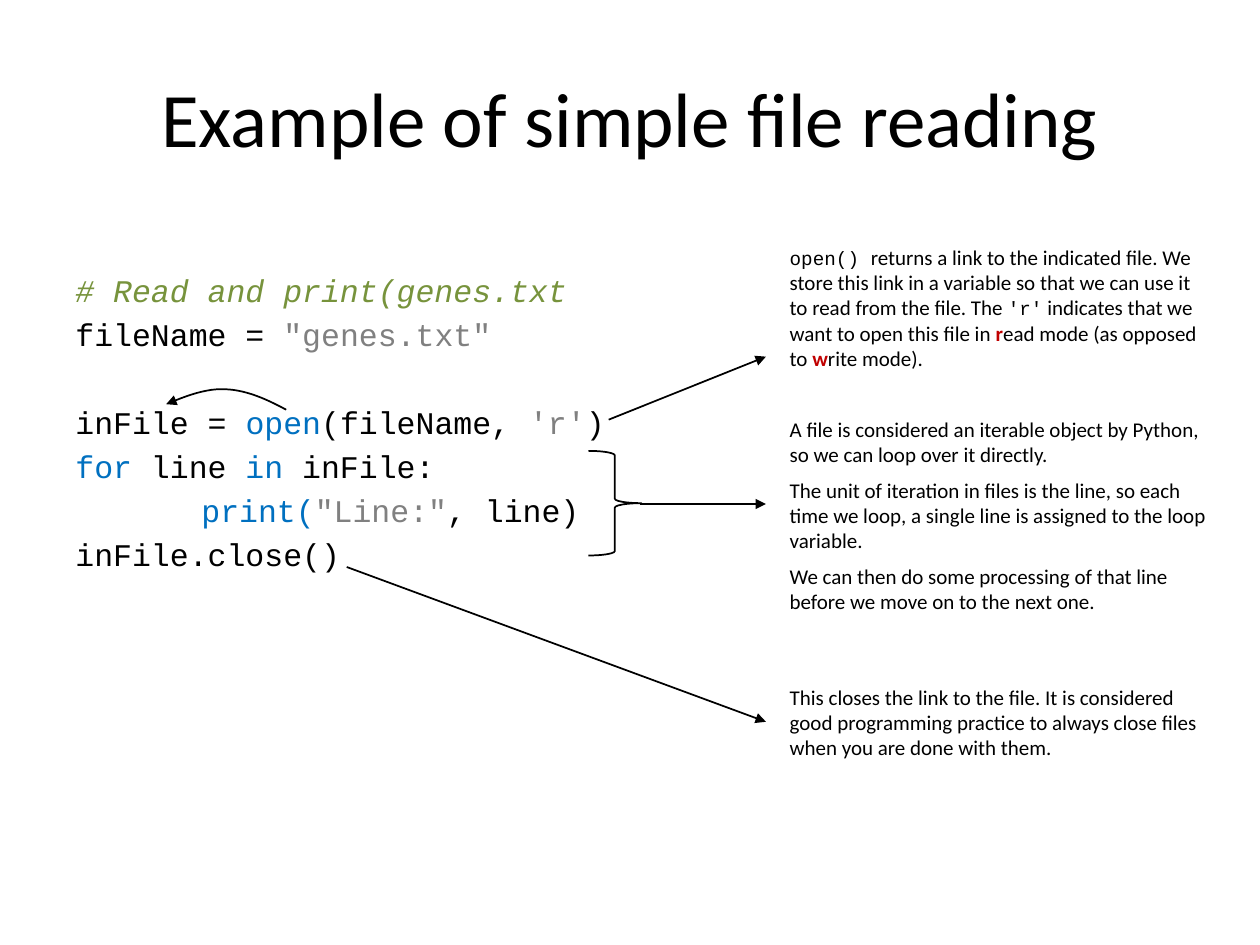
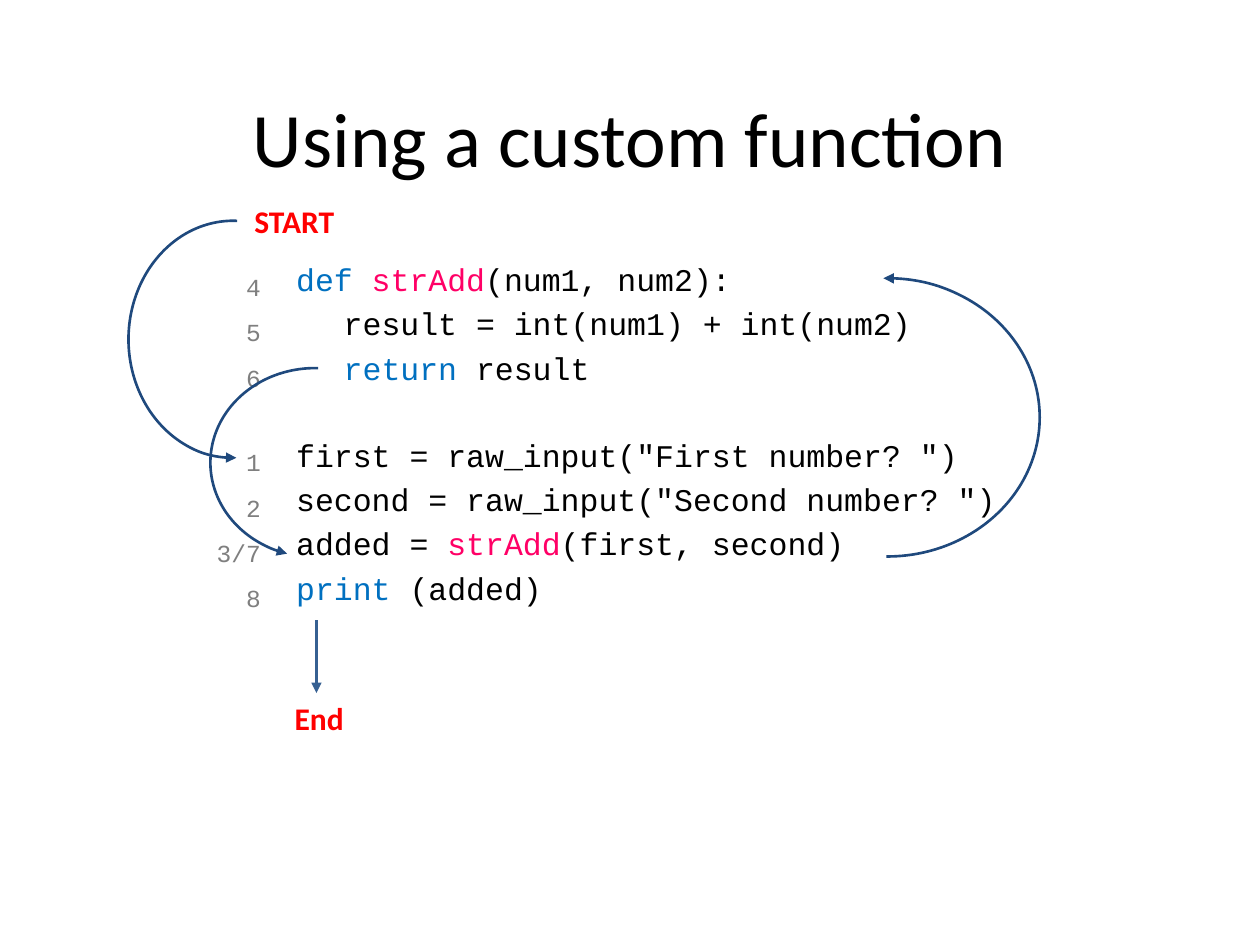
from lxml import etree
from pptx import Presentation
from pptx.dml.color import RGBColor
from pptx.enum.shapes import MSO_CONNECTOR, MSO_SHAPE
from pptx.enum.text import MSO_ANCHOR, PP_ALIGN
from pptx.oxml.ns import qn
from pptx.util import Cm, Pt

LEFT, RIGHT, CENTER = PP_ALIGN.LEFT, PP_ALIGN.RIGHT, PP_ALIGN.CENTER
MIDDLE, BOTTOM = MSO_ANCHOR.MIDDLE, MSO_ANCHOR.BOTTOM
ARC, BRACE = MSO_SHAPE.ARC, MSO_SHAPE.RIGHT_BRACE
STRAIGHT = MSO_CONNECTOR.STRAIGHT
SANS, MONO = "Calibri", "Courier New"
HUES = {
    "black": "000000", "green": "77933C", "grey": "808080", "count": "7F7F7F",
    "blue": "0070C0", "pink": "FF0066", "dark": "C00000", "red": "FF0000",
    "navy": "1F497D", "steel": "366092",
}
STEP = 3.6
BREAK = 28.5


def hue(name):
    return RGBColor.from_string(HUES[name])


def bezier(a, b, c, d, count=12):
    for i in range(count + 1):
        t = i / count
        u = 1 - t
        yield tuple(u**3 * p + 3 * u * u * t * q + 3 * u * t * t * r + t**3 * s
                    for p, q, r, s in zip(a, b, c, d))


class Deck:
    def __init__(self):
        self.prs = Presentation()
        self.prs.slide_width, self.prs.slide_height = Cm(25.4), Cm(19.05)
        self.slide = None

    def start(self, title, anchor, inset=0.13):
        self.slide = self.prs.slides.add_slide(self.prs.slide_layouts[5])
        head = self.slide.shapes.title
        head.left, head.top, head.width, head.height = map(Cm, (1.27, 0.76, 22.86, 3.18))
        frame = head.text_frame
        frame.text = title
        frame.vertical_anchor = anchor
        frame.margin_top = frame.margin_bottom = Cm(inset)
        para = frame.paragraphs[0]
        para.alignment = CENTER
        self.font(para.font, SANS, 44, "black")

    def font(self, font, face=None, size=None, tone=None, bold=None, italic=None):
        if face:
            font.name = face
        if size:
            font.size = Pt(size)
        if tone:
            font.color.rgb = hue(tone)
        if bold is not None:
            font.bold = bold
        if italic is not None:
            font.italic = italic

    def frame(self, box, inset=0.13):
        frame = self.slide.shapes.add_textbox(*map(Cm, box)).text_frame
        frame.word_wrap = True
        frame.margin_left = frame.margin_right = Cm(0.25)
        frame.margin_top = frame.margin_bottom = Cm(inset)
        return frame

    def lines(self, frame, count):
        return [frame.paragraphs[0]] + [frame.add_paragraph() for _ in range(count - 1)]

    def text(self, box, rows, face=SANS, size=12, tone="black", bold=False,
             align=LEFT, before=0, after=0):
        for i, (para, row) in enumerate(zip(self.lines(self.frame(box), len(rows)), rows)):
            para.alignment = align
            para.space_before = Pt(before if i else 0)
            para.space_after = Pt(after)
            self.font(para.font, face, size, tone, bold)
            for words, style in [(row, {})] if isinstance(row, str) else row:
                run = para.add_run()
                run.text = words
                self.font(run.font, **style)

    def code(self, box, rows, tab, inset=0.13):
        paras = self.lines(self.frame(box, inset), len(rows))
        gap = 0
        for para, row in zip(paras, rows):
            depth, last, parts = row
            para._p.get_or_add_pPr().set("marL", str(Cm(tab * depth)))
            para.space_before = Pt(gap)
            gap = BREAK if last else STEP
            self.font(para.font, MONO, 18)
            for words, tone in parts:
                run = para.add_run()
                run.text = words
                self.font(run.font, tone=tone, italic=tone == "green")

    def stroke(self, item, tone, width, end=None):
        item.line.color.rgb = hue(tone)
        item.line.width = Pt(width)
        if end:
            tip = etree.SubElement(item.line._get_or_add_ln(), qn("a:" + end))
            tip.set("type", "triangle")

    def arrow(self, x1, y1, x2, y2, tone="black", width=1):
        line = self.slide.shapes.add_connector(STRAIGHT, *map(Cm, (x1, y1, x2, y2)))
        self.stroke(line, tone, width, "tailEnd")
        etree.SubElement(line._element.spPr, qn("a:effectLst"))

    def curve(self, points):
        spots = [(Cm(x), Cm(y)) for x, y in points]
        path = self.slide.shapes.build_freeform(*spots[0])
        path.add_line_segments(spots[1:], close=False)
        item = path.convert_to_shape()
        item.shadow.inherit = False
        item.fill.background()
        self.stroke(item, "black", 1, "tailEnd")

    def shape(self, kind, box, tone, width, end=None, turn=0, angles=()):
        item = self.slide.shapes.add_shape(kind, *map(Cm, box))
        item.shadow.inherit = False
        item.fill.background()
        item.rotation = turn
        for i, angle in enumerate(angles):
            item.adjustments[i] = angle
        self.stroke(item, tone, width, end)


def reading(deck):
    deck.start("Example of simple file reading", MIDDLE)
    deck.code((1.27, 5.33, 22.86, 11.68), [
        (0, False, [("# Read and print(genes.txt", "green")]),
        (0, True, [("fileName = ", "black"), ("\"genes.txt\"", "grey")]),
        (0, False, [("inFile = ", "black"), ("open", "blue"), ("(fileName, ", "black"),
                    ("'r'", "grey"), (")", "black")]),
        (0, False, [("for", "blue"), (" line ", "black"), ("in ", "blue"),
                    ("inFile:", "black")]),
        (1, False, [("print(", "blue"), ("\"Line:\"", "grey"), (", line)", "black")]),
        (0, False, [("inFile.close()", "black")]),
    ], tab=2.54)

    mono = {"face": MONO, "size": 11}
    mark = {"tone": "dark", "bold": True}
    notes = [
        (4.8, 2.82, [[
            ("open() ", mono),
            ("returns a link to the indicated file. We store this link in a variable "
             "so that we can use it to read from the file. The ", {}),
            ("'r'", mono),
            (" indicates that we want to open this file in ", {}),
            ("r", mark), ("ead mode (as opposed to ", {}),
            ("w", mark), ("rite mode).", {}),
        ]]),
        (8.26, 4.27, [
            "A file is considered an iterable object by Python, so we can loop over it "
            "directly.",
            "The unit of iteration in files is the line, so each time we loop, a single "
            "line is assigned to the loop variable.",
            "We can then do some processing of that line before we move on to the next "
            "one.",
        ]),
        (13.67, 1.8, [
            "This closes the link to the file. It is considered good programming practice "
            "to always close files when you are done with them.",
        ]),
    ]
    for top, height, rows in notes:
        deck.text((15.67, top, 8.94, height), rows, after=6 if len(rows) > 1 else 0)

    for x, y, end in [(12.27, 8.46, 7.19), (12.9, 10.16, 10.16), (6.99, 11.43, 14.55)]:
        deck.arrow(x, y, 15.44, end)
    deck.shape(BRACE, (11.86, 9.09, 1.07, 2.11), "black", 1)
    crest = (4.57, 7.85)
    rise = bezier((5.77, 8.26), (5.38, 8.05), (4.98, 7.87), crest)
    fall = bezier(crest, (4.17, 7.82), (3.76, 7.98), (3.35, 8.15))
    deck.curve(list(rise) + list(fall)[1:])


def custom(deck):
    deck.start("Using a custom function", BOTTOM, 0.25)
    deck.code((5.72, 5, 18.42, 12.57), [
        (0, False, [("def ", "blue"), ("strAdd", "pink"), ("(num1, num2):", "black")]),
        (1, False, [("result = int(num1) + int(num2)", "black")]),
        (1, True, [("return", "blue"), (" result", "black")]),
        (0, False, [("first = raw_input(\"First number? \")", "black")]),
        (0, False, [("second = raw_input(\"Second number? \")", "black")]),
        (0, False, [("added = ", "black"), ("strAdd", "pink"),
                    ("(first, second)", "black")]),
        (0, False, [("print", "blue"), (" (added)", "black")]),
    ], tab=0.96, inset=0.25)

    for box, steps in [((4.7, 5.36, 0.81, 2.69), ["4", "5", "6"]),
                       ((3.61, 8.89, 1.9, 3.61), ["1", "2", "3/7", "8"])]:
        deck.text(box, steps, MONO, 14, "count", align=RIGHT, before=9)
    for x, y, word in [(4.88, 3.94, "START"), (5.69, 13.97, "End")]:
        deck.text((x, y, 2.5, 1.02), [word], size=18, tone="red", bold=True)

    for box, turn, angles in [
        ((2.59, 4.45, 4.22, 4.78), 180, (161.07, 55.14)),
        ((14.81, 5.61, 6.15, 5.61), 0, (161.07, 54.21)),
        ((4.24, 7.42, 4.22, 3.81), 180, (172.24, 55.14)),
    ]:
        deck.shape(ARC, box, "navy", 1.5, "headEnd", turn, angles)
    deck.arrow(6.38, 12.5, 6.38, 13.97, "steel", 1.5)


def main():
    deck = Deck()
    reading(deck)
    custom(deck)
    deck.prs.save("out.pptx")


if __name__ == "__main__":
    main()
